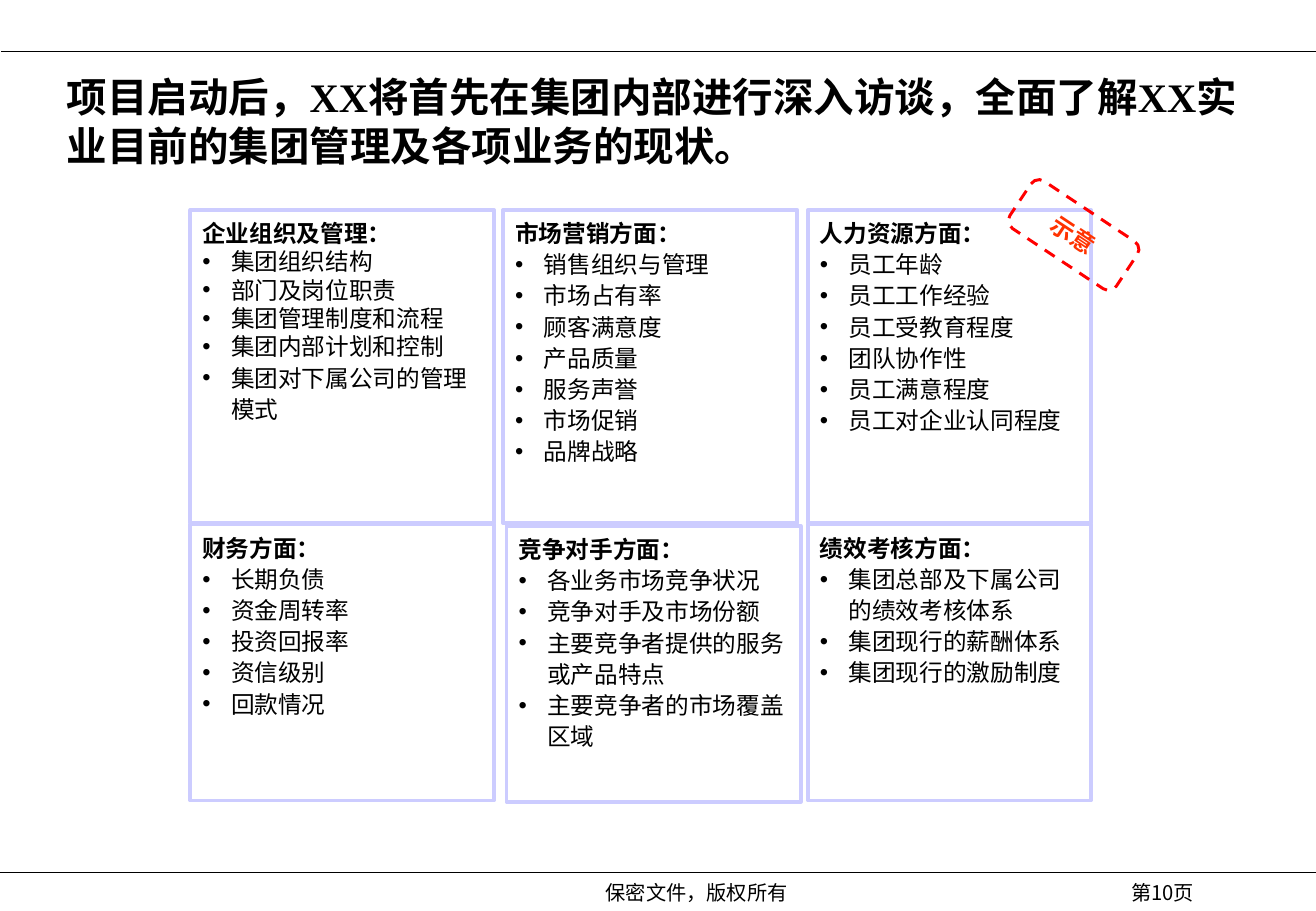
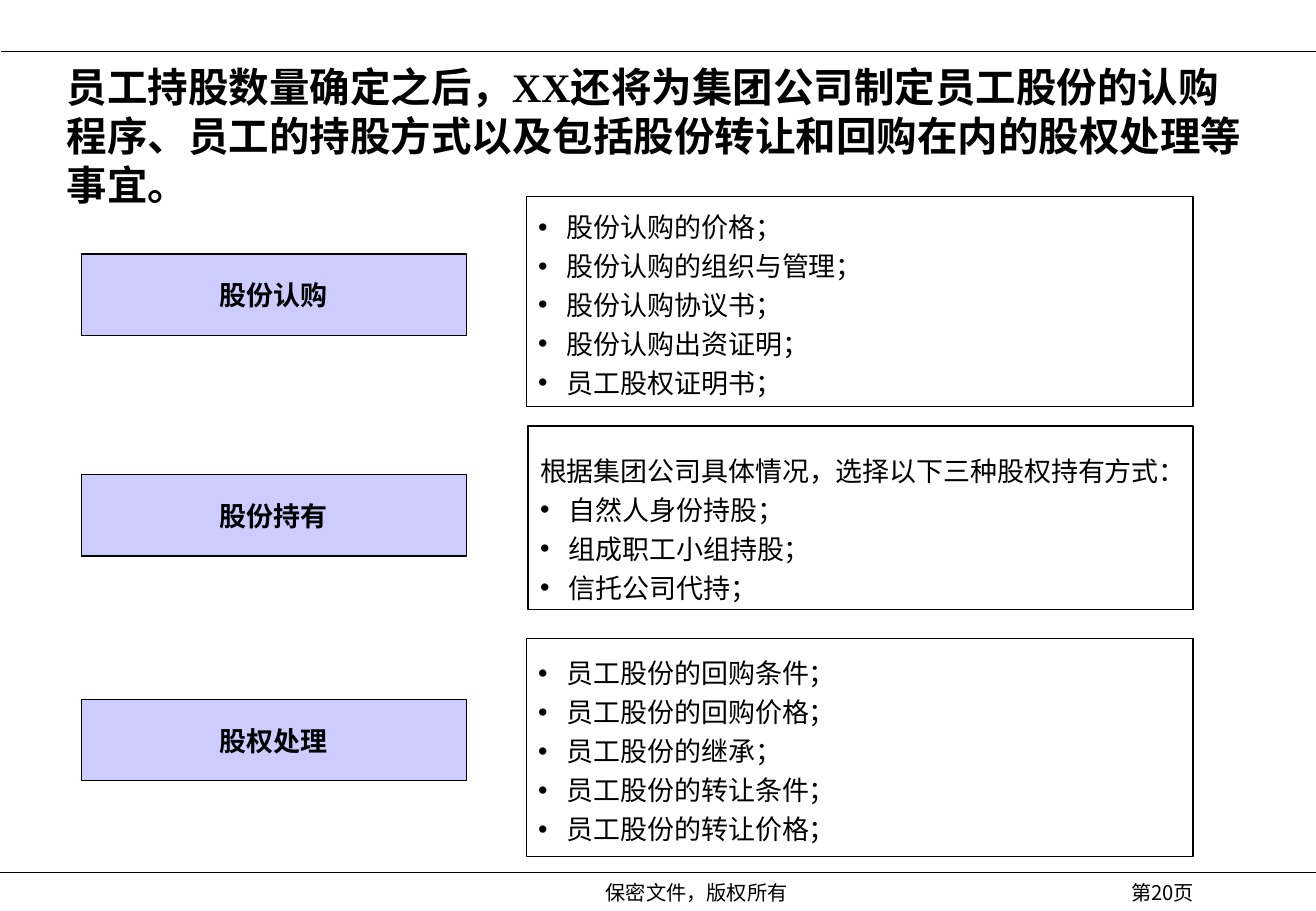
from lxml.etree import SubElement
from pptx import Presentation
from pptx.dml.color import RGBColor
from pptx.enum.dml import MSO_LINE
from pptx.enum.shapes import MSO_CONNECTOR, MSO_SHAPE
from pptx.enum.text import MSO_ANCHOR, MSO_AUTO_SIZE, PP_ALIGN
from pptx.oxml.ns import qn
from pptx.util import Cm, Pt

COLORS = {"text": "000000", "lilac": "CCCCFF", "stamp_line": "FF0000", "stamp_text": "FF3300"}
SANS, SERIF, STAMP_FONT = "Noto Sans CJK SC", "Times New Roman", "Arial"
PAGE_WIDTH, PAGE_HEIGHT = 27.51, 19.05
TITLE_ONLY = 5
# Exact line pitches in points
TITLE_PITCH, HEADING_PITCH, TIGHT_PITCH = 29, 18.5, 16.8
DETAIL_PITCH, INTRO_PITCH = 23.1, 32.6


def color(name):
    return RGBColor.from_string(COLORS[name])


class Deck:
    """Holds the shared style and the slide being built."""

    def __init__(self):
        self.presentation = Presentation()
        self.presentation.slide_width = Cm(PAGE_WIDTH)
        self.presentation.slide_height = Cm(PAGE_HEIGHT)
        self.slide = None

    def new_slide(self, title, title_height, page_number):
        layout = self.presentation.slide_layouts[TITLE_ONLY]
        self.slide = self.presentation.slides.add_slide(layout)
        self.rule(0, 18.24)
        self.rule(0.03, 1.07)
        self.footer(22.25, 4.11, f"第{page_number}页", SANS)
        self.footer(7.11, 14.91, "保密文件，版权所有", SERIF)
        self.title(title, title_height)

    def rule(self, left, top):
        line = self.slide.shapes.add_connector(
            MSO_CONNECTOR.STRAIGHT, Cm(left), Cm(top), Cm(PAGE_WIDTH), Cm(top))
        line.line.color.rgb = color("text")
        line.line.width = Pt(0.75)
        SubElement(line._element.spPr, qn("a:effectLst"))

    def footer(self, left, width, text, font):
        shape = self.slide.shapes.add_textbox(Cm(left), Cm(18.29), Cm(width), Cm(0.76))
        self.frame(shape, MSO_ANCHOR.MIDDLE)
        self.paragraph(shape, text, 12, font=font, align=PP_ALIGN.CENTER)

    def title(self, text, height):
        shape = self.slide.shapes.title
        shape.left, shape.top = Cm(1.14), Cm(1.32)
        shape.width, shape.height = Cm(25.2), Cm(height)
        self.frame(shape, MSO_ANCHOR.MIDDLE)
        self.paragraph(shape, text, 24, font=SERIF, bold=True, pitch=TITLE_PITCH)

    def box(self, left, top, width, height, line="text", line_width=0.75, fill=None,
            kind=MSO_SHAPE.RECTANGLE, anchor=MSO_ANCHOR.MIDDLE, wrap=True):
        shape = self.slide.shapes.add_shape(kind, Cm(left), Cm(top), Cm(width), Cm(height))
        shape.shadow.inherit = False
        if fill:
            shape.fill.solid()
            shape.fill.fore_color.rgb = color(fill)
        else:
            shape.fill.background()
        shape.line.color.rgb = color(line)
        shape.line.width = Pt(line_width)
        self.frame(shape, anchor, wrap)
        return shape

    def frame(self, shape, anchor, wrap=True):
        frame = shape.text_frame
        frame.word_wrap = wrap
        frame.auto_size = MSO_AUTO_SIZE.NONE
        frame.vertical_anchor = anchor

    def paragraph(self, shape, text, size, font=SANS, bold=False, ink="text",
                  align=PP_ALIGN.LEFT, pitch=None, bullet=False):
        frame = shape.text_frame
        paragraph = frame.paragraphs[0]
        if paragraph.runs:
            paragraph = frame.add_paragraph()
        if bullet:
            properties = paragraph._p.get_or_add_pPr()
            properties.set("marL", str(Cm(0.6)))
            properties.set("indent", str(-Cm(0.6)))
            SubElement(properties, qn("a:buFont")).set("typeface", "Arial")
            SubElement(properties, qn("a:buChar")).set("char", "•")
        paragraph.alignment = align
        paragraph.space_before = paragraph.space_after = Pt(0)
        if pitch:
            paragraph.line_spacing = Pt(pitch)
        run = paragraph.add_run()
        run.text = text
        run.font.size, run.font.bold, run.font.name = Pt(size), bold, font
        run.font.color.rgb = color(ink)
        properties = run._r.get_or_add_rPr()
        properties.set("lang", "zh-CN")
        SubElement(properties, qn("a:ea")).set("typeface", SANS)

    def bullets(self, shape, items, size, pitch):
        for item in items:
            self.paragraph(shape, item, size, pitch=pitch, bullet=True)

    def stamp(self, text):
        shape = self.box(21.11, 4.32, 2.67, 1.19, "stamp_line", 1.75,
                         kind=MSO_SHAPE.FLOWCHART_ALTERNATE_PROCESS, wrap=False)
        shape.line.dash_style = MSO_LINE.DASH
        shape.rotation = 33.6
        self.paragraph(shape, text, 14, STAMP_FONT, True, "stamp_text", PP_ALIGN.CENTER)


def interview_slide(deck):
    deck.new_slide("项目启动后，XX将首先在集团内部进行深入访谈，全面了解XX实业目前的集团管理及各项业务的现状。",
                   2.41, 10)
    columns = [(3.98, 6.35), (10.52, 6.15), (16.89, 5.92)]
    rows = [(4.39, 6.55), (10.97, 5.77)]
    topics = [
        ("企业组织及管理：", ["集团组织结构", "部门及岗位职责", "集团管理制度和流程",
                       "集团内部计划和控制", "集团对下属公司的管理模式"]),
        ("市场营销方面：", ["销售组织与管理", "市场占有率", "顾客满意度", "产品质量",
                      "服务声誉", "市场促销", "品牌战略"]),
        ("人力资源方面：", ["员工年龄", "员工工作经验", "员工受教育程度", "团队协作性",
                      "员工满意程度", "员工对企业认同程度"]),
        ("财务方面：", ["长期负债", "资金周转率", "投资回报率", "资信级别", "回款情况"]),
        ("竞争对手方面：", ["各业务市场竞争状况", "竞争对手及市场份额",
                      "主要竞争者提供的服务或产品特点", "主要竞争者的市场覆盖区域"]),
        ("绩效考核方面：", ["集团总部及下属公司的绩效考核体系", "集团现行的薪酬体系",
                      "集团现行的激励制度"]),
    ]
    # Topic grid; the competitor box sits slightly off it
    for index, (heading, items) in enumerate(topics):
        row, column = divmod(index, len(columns))
        (left, width), (top, height) = columns[column], rows[row]
        if heading == "竞争对手方面：":
            left, top = left + 0.07, top + 0.03
        shape = deck.box(left, top, width, height, "lilac", 2.25, anchor=MSO_ANCHOR.TOP)
        deck.paragraph(shape, heading, 14, bold=True, pitch=HEADING_PITCH)
        # The first topic is set tighter, except for its last item
        tight = len(items) - 1 if index == 0 else 0
        deck.bullets(shape, items[:tight], 14, TIGHT_PITCH)
        deck.bullets(shape, items[tight:], 14, HEADING_PITCH)
    deck.stamp("示意")


def shareholding_slide(deck):
    deck.new_slide("员工持股数量确定之后，XX还将为集团公司制定员工股份的认购程序、员工的持股方式以及包括股份转让和回购在内的股权处理等事宜。",
                   3, 20)
    # Label, label top, detail box (left, top, width, height), intro, items
    stages = [
        ("股份认购", 5.31, (11, 4.11, 13.94, 4.39), None,
         ["股份认购的价格；", "股份认购的组织与管理；", "股份认购协议书；",
          "股份认购出资证明；", "员工股权证明书；"]),
        ("股份持有", 9.93, (11.04, 8.91, 13.9, 3.83),
         "根据集团公司具体情况，选择以下三种股权持有方式：",
         ["自然人身份持股；", "组成职工小组持股；", "信托公司代持；"]),
        ("股权处理", 14.63, (11, 13.35, 13.94, 4.57), None,
         ["员工股份的回购条件；", "员工股份的回购价格；", "员工股份的继承；",
          "员工股份的转让条件；", "员工股份的转让价格；"]),
    ]
    for label, label_top, place, intro, items in stages:
        shape = deck.box(1.7, label_top, 8.05, 1.7, fill="lilac", wrap=False)
        deck.paragraph(shape, label, 16, bold=True, align=PP_ALIGN.CENTER)
        detail = deck.box(*place, wrap=intro is None)
        if intro:
            deck.paragraph(detail, intro, 16, pitch=INTRO_PITCH)
        deck.bullets(detail, items, 16, DETAIL_PITCH)


def main():
    deck = Deck()
    interview_slide(deck)
    shareholding_slide(deck)
    deck.presentation.save("out.pptx")


if __name__ == "__main__":
    main()
